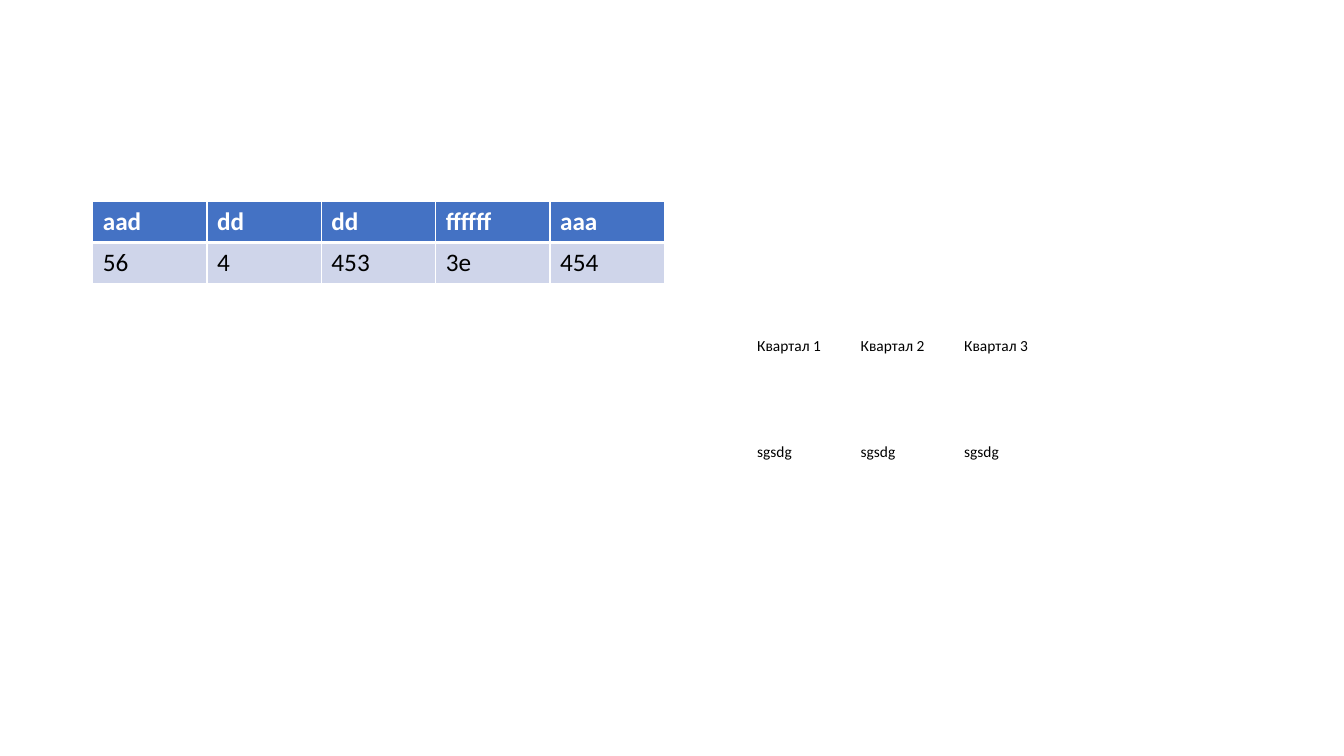
from lxml.etree import SubElement
from pptx import Presentation
from pptx.dml.color import RGBColor as RGB
from pptx.enum.text import MSO_ANCHOR as Anchor
from pptx.oxml.ns import qn
from pptx.util import Inches, Pt

WHITE = RGB(0xFF, 0xFF, 0xFF)
BLACK = RGB(0, 0, 0)
BLUE = RGB(0x44, 0x72, 0xC4)
PALE = RGB(0xCF, 0xD5, 0xEA)


class Page:
    font = "Calibri"

    def __init__(self, slide):
        self.slide = slide

    def table(self, left, top, width, heights, rows):
        """Add a table with equal columns and no style banding."""
        frame = self.slide.shapes.add_table(
            len(rows), len(rows[0]), Inches(left), Inches(top),
            Inches(width), Inches(sum(heights)))
        grid = frame.table
        grid.first_row = grid.horz_banding = False
        for row, height in zip(grid.rows, heights):
            row.height = Inches(height)
        for row, words in zip(grid.rows, rows):
            for cell, word in zip(row.cells, words):
                cell.text_frame.paragraphs[0].add_run().text = word
        return grid

    def style(self, cell, size, color, bold=False, fill=None):
        font = cell.text_frame.paragraphs[0].runs[0].font
        font.name, font.size, font.bold = self.font, Pt(size), bold
        font.color.rgb = color
        if fill is None:
            cell.fill.background()
        else:
            cell.fill.solid()
            cell.fill.fore_color.rgb = fill

    def border(self, cell, color, **widths):
        """Draw the cell's edges; widths in points, keyed L, R, T, B in that order."""
        props = cell._tc.get_or_add_tcPr()
        for spot, (side, width) in enumerate(widths.items()):
            line = SubElement(props, qn(f"a:ln{side}"), w=str(Pt(width)))
            fill = SubElement(line, qn("a:solidFill"))
            SubElement(fill, qn("a:srgbClr"), val=str(color))
            props.insert(spot, line)


def main():
    deck = Presentation()
    deck.slide_width, deck.slide_height = Inches(13.33), Inches(7.5)
    page = Page(deck.slides.add_slide(deck.slide_layouts[6]))

    scores = page.table(0.92, 2, 5.67, [0.4, 0.41], [
        ["aad", "dd", "dd", "ffffff", "aaa"],
        ["56", "4", "453", "3e", "454"],
    ])
    scores.first_row = True
    head, body = scores.rows
    for cell in head.cells:
        page.style(cell, 18, WHITE, True, BLUE)
        page.border(cell, WHITE, L=1, R=1, T=1, B=3)
    for cell in body.cells:
        page.style(cell, 18, BLACK, fill=PALE)
        page.border(cell, WHITE, L=1, R=1, T=3, B=1)

    terms = page.table(7.5, 2.48, 3.08, [1.05, 1.05], [
        [f"Квартал {n}" for n in (1, 2, 3)],
        ["sgsdg"] * 3,
    ])
    for cell in terms.iter_cells():
        page.style(cell, 11, BLACK)
        cell.vertical_anchor = Anchor.BOTTOM
        cell.margin_left = cell.margin_right = cell.margin_top = Inches(0.01)
        cell.margin_bottom = 0

    deck.save("out.pptx")


if __name__ == "__main__":
    main()
